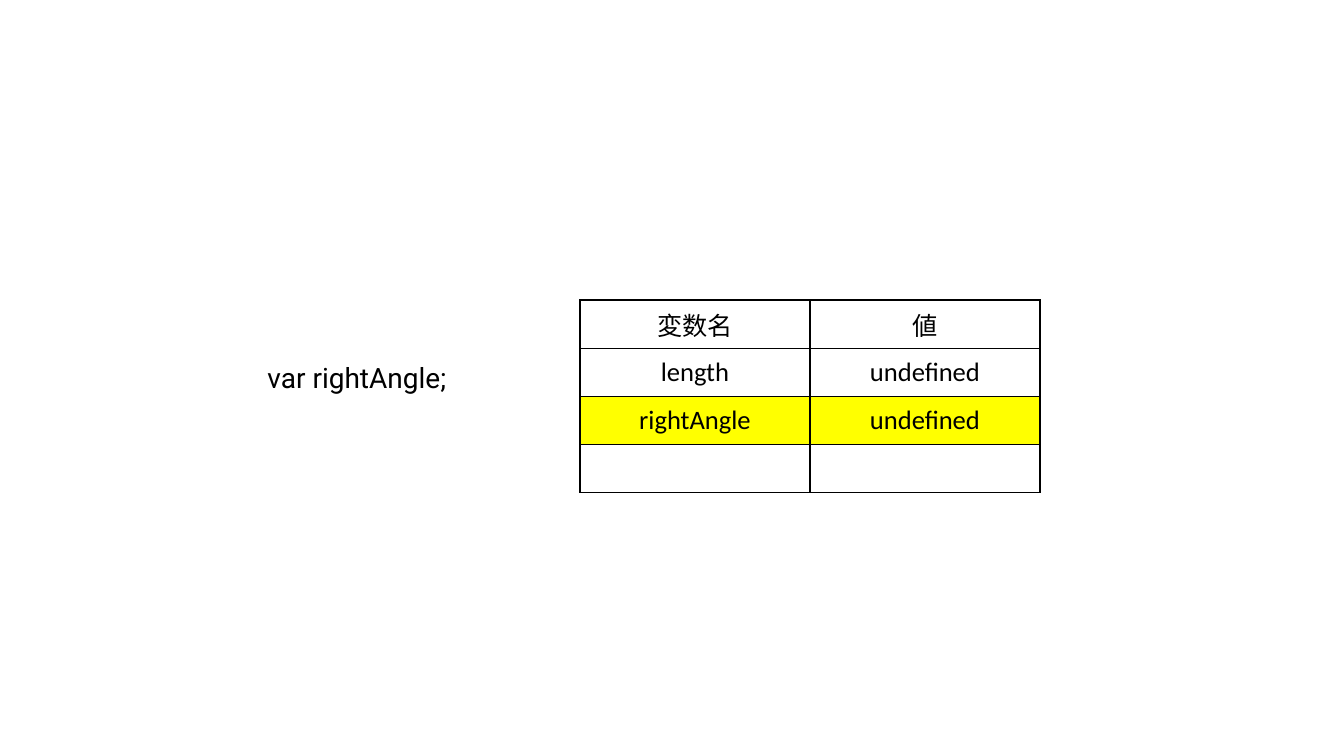
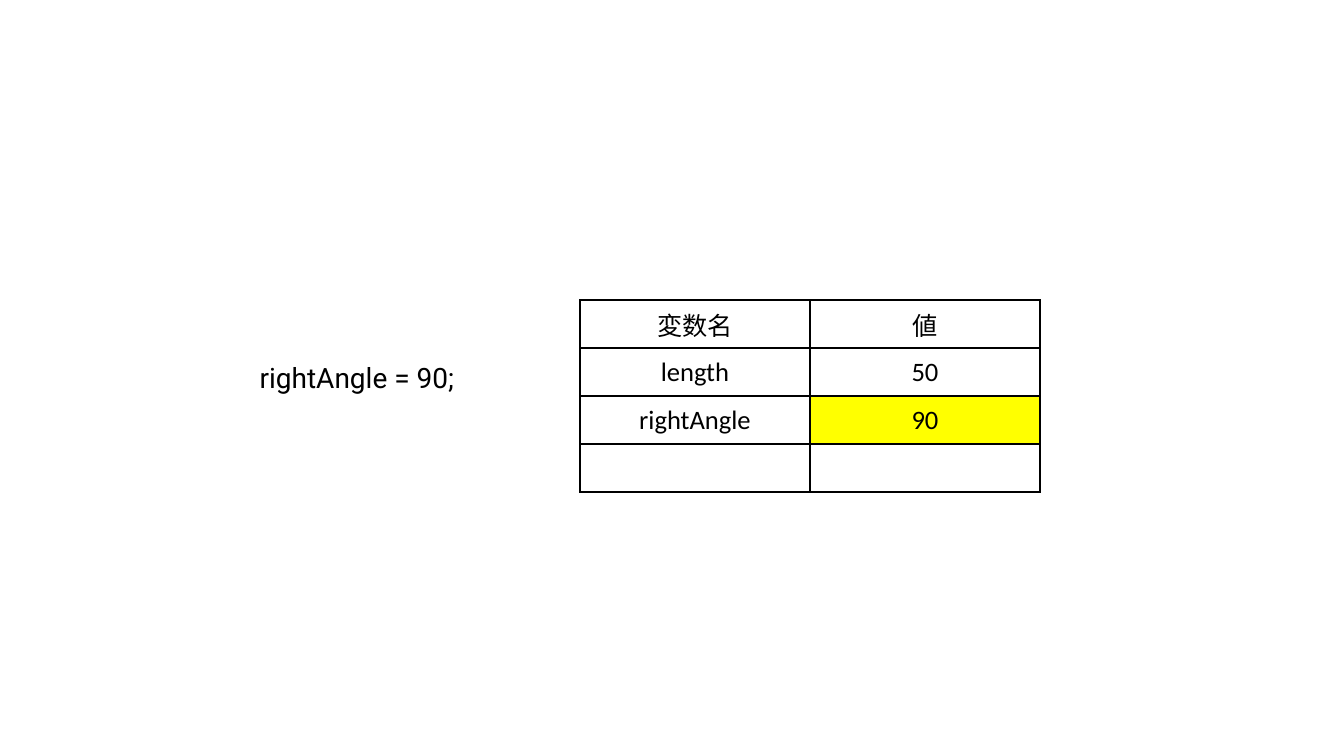
import pptx
import pptx.dml.color
import pptx.enum.text
import pptx.oxml
import pptx.oxml.ns
import pptx.util

PX = 914400 / 100.8
BLACK = "000000"
YELLOW = "FFFF00"
CENTER = pptx.enum.text.PP_ALIGN.CENTER
MIDDLE = pptx.enum.text.MSO_ANCHOR.MIDDLE


def px(length):
    return pptx.util.Emu(round(length * PX))


def color(value):
    return pptx.dml.color.RGBColor.from_string(value)


def write(frame, text, font="Calibri", size=18, ink=BLACK, align=CENTER):
    paragraph = frame.paragraphs[0]
    paragraph.alignment = align
    paragraph.font.size = pptx.util.Pt(size)
    if text:
        run = paragraph.add_run()
        run.text = text
        run.font.name = font
        run.font.size = pptx.util.Pt(size)
        run.font.color.rgb = color(ink)


class Deck:
    """Holds the shared style and the current slide."""

    column_width = 230
    row_height = 48
    header_size = 18
    body_size = 19
    code_font = "Roboto"
    code_size = 20

    def __init__(self, width, height):
        self.presentation = pptx.Presentation()
        self.presentation.slide_width = px(width)
        self.presentation.slide_height = px(height)
        self.slide = None

    def add_slide(self):
        blank = self.presentation.slide_layouts[6]
        self.slide = self.presentation.slides.add_slide(blank)

    def code(self, text, left, top, width, height):
        box = self.slide.shapes.add_textbox(px(left), px(top), px(width), px(height))
        box.text_frame.word_wrap = False
        box.text_frame.auto_size = pptx.enum.text.MSO_AUTO_SIZE.SHAPE_TO_FIT_TEXT
        write(box.text_frame, text, font=self.code_font, size=self.code_size)

    def table(self, rows, left, top, highlights):
        columns = len(rows[0])
        table = self.slide.shapes.add_table(
            len(rows), columns, px(left), px(top),
            px(columns * self.column_width), px(len(rows) * self.row_height)).table
        table.first_row = False
        table.horz_banding = False
        for column in table.columns:
            column.width = px(self.column_width)
        for row_index, texts in enumerate(rows):
            table.rows[row_index].height = px(self.row_height)
            size = self.body_size if row_index else self.header_size
            for column_index, text in enumerate(texts):
                cell = table.cell(row_index, column_index)
                cell.vertical_anchor = MIDDLE
                cell.margin_left = cell.margin_right = px(11)
                cell.margin_top = cell.margin_bottom = px(6)
                self.borders(cell)
                if (row_index, column_index) in highlights:
                    cell.fill.solid()
                    cell.fill.fore_color.rgb = color(YELLOW)
                else:
                    cell.fill.background()
                write(cell.text_frame, text, size=size)

    def borders(self, cell, ink=BLACK, points=1):
        properties = cell._tc.get_or_add_tcPr()
        for side in "LRTB":
            properties.append(pptx.oxml.parse_xml(
                f'<a:ln{side} {pptx.oxml.ns.nsdecls("a")} w="{pptx.util.Pt(points)}">'
                f'<a:solidFill><a:srgbClr val="{ink}"/></a:solidFill></a:ln{side}>'))

    def step(self, statement, length, right_angle, highlights):
        """One statement beside the variables it leaves behind."""
        self.add_slide()
        rows = [("変数名", "値"), ("length", length),
                ("rightAngle", right_angle), ("", "")]
        self.table(rows, 580, 300, highlights)
        self.code(statement, 237, 356, 240, 44)


def main():
    deck = Deck(1344, 756)
    # Declaration: the whole new row is marked
    deck.step("var rightAngle;", "undefined", "undefined", {(2, 0), (2, 1)})
    # Assignment: only the changed value is marked
    deck.step("rightAngle = 90;", "50", "90", {(2, 1)})
    deck.presentation.save("out.pptx")


if __name__ == "__main__":
    main()
